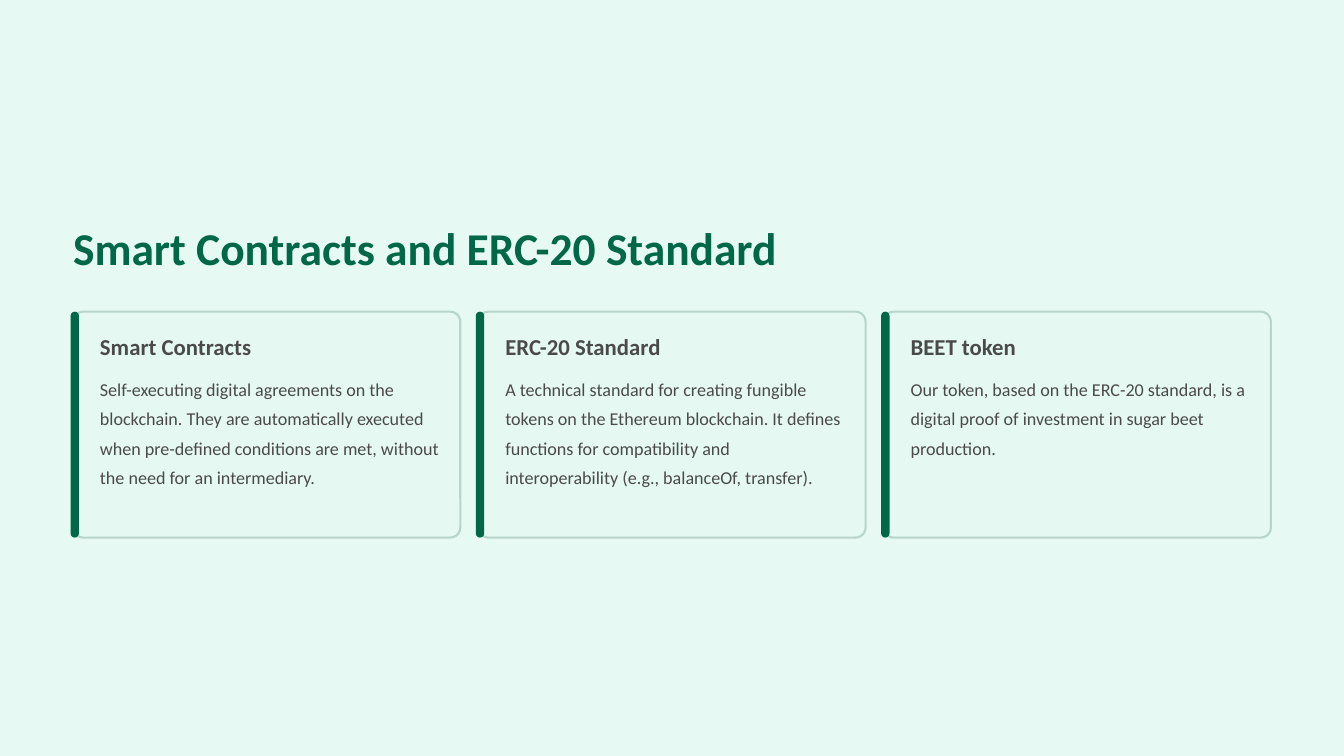
from pptx import Presentation
from pptx.dml.color import RGBColor
from pptx.enum.shapes import MSO_SHAPE
from pptx.util import Inches, Pt

MINT = RGBColor(0xE6, 0xF9, 0xF3)
CARD_MINT = RGBColor(0xE5, 0xF9, 0xF2)
GREEN = RGBColor(0x00, 0x67, 0x47)
BORDER = RGBColor(0xB7, 0xD5, 0xCA)
GRAY = RGBColor(0x4B, 0x4A, 0x4A)

TITLE = "Smart Contracts and ERC-20 Standard"
CARDS = [
    ("Smart Contracts",
     "Self-executing digital agreements on the blockchain. They are automatically "
     "executed when pre-defined conditions are met, without the need for an intermediary."),
    ("ERC-20 Standard",
     "A technical standard for creating fungible tokens on the Ethereum blockchain. "
     "It defines functions for compatibility and interoperability "
     "(e.g., balanceOf, transfer)."),
    ("BEET token",
     "Our token, based on the ERC-20 standard, is a digital proof of investment "
     "in sugar beet production."),
]
CARD_LEFT, CARD_TOP = 0.87, 3.71
CARD_WIDTH, CARD_HEIGHT = 4.61, 2.69
CARD_STEP = 4.825


def add_text(page, text, left, top, width, height, size, spacing, color,
             bold=False, wrap=False):
    box = page.shapes.add_textbox(Inches(left), Inches(top), Inches(width), Inches(height))
    frame = box.text_frame
    frame.margin_left = frame.margin_top = frame.margin_right = frame.margin_bottom = 0
    frame.word_wrap = wrap
    frame.text = text
    paragraph = frame.paragraphs[0]
    paragraph.line_spacing = Pt(spacing)
    font = paragraph.runs[0].font
    font.name = "Calibri"
    font.size = Pt(size)
    font.bold = bold
    font.color.rgb = color


def add_rounded(page, left, top, width, height, rounding, fill, border=None):
    shape = page.shapes.add_shape(MSO_SHAPE.ROUNDED_RECTANGLE, Inches(left), Inches(top),
                                  Inches(width), Inches(height))
    shape.shadow.inherit = False
    shape.adjustments[0] = rounding
    shape.fill.solid()
    shape.fill.fore_color.rgb = fill
    if border is None:
        shape.line.fill.background()
    else:
        shape.line.color.rgb = border
        shape.line.width = Pt(1.8)


def add_card(page, left, heading, body):
    # Panel with an accent bar on its left edge
    add_rounded(page, left, CARD_TOP, CARD_WIDTH, CARD_HEIGHT, 0.045, CARD_MINT, BORDER)
    add_rounded(page, left - 0.03, CARD_TOP, 0.1, CARD_HEIGHT, 0.5, GREEN)
    # Heading and description
    add_text(page, heading, left + 0.32, 3.95, 2.71, 0.34, 19.5, 24, GRAY, bold=True)
    add_text(page, body, left + 0.32, 4.42, 4.05, 1.74, 15.5, 25, GRAY, wrap=True)


def main():
    deck = Presentation()
    deck.slide_width, deck.slide_height = Inches(16), Inches(9)
    page = deck.slides.add_slide(deck.slide_layouts[6])

    # Background
    page.background.fill.solid()
    page.background.fill.fore_color.rgb = MINT

    # Title
    add_text(page, TITLE, CARD_LEFT, 2.6, 10.42, 0.68, 39, 48.5, GREEN, bold=True)

    # Row of cards
    for index, (heading, body) in enumerate(CARDS):
        add_card(page, CARD_LEFT + index * CARD_STEP, heading, body)

    deck.save("out.pptx")


if __name__ == "__main__":
    main()
